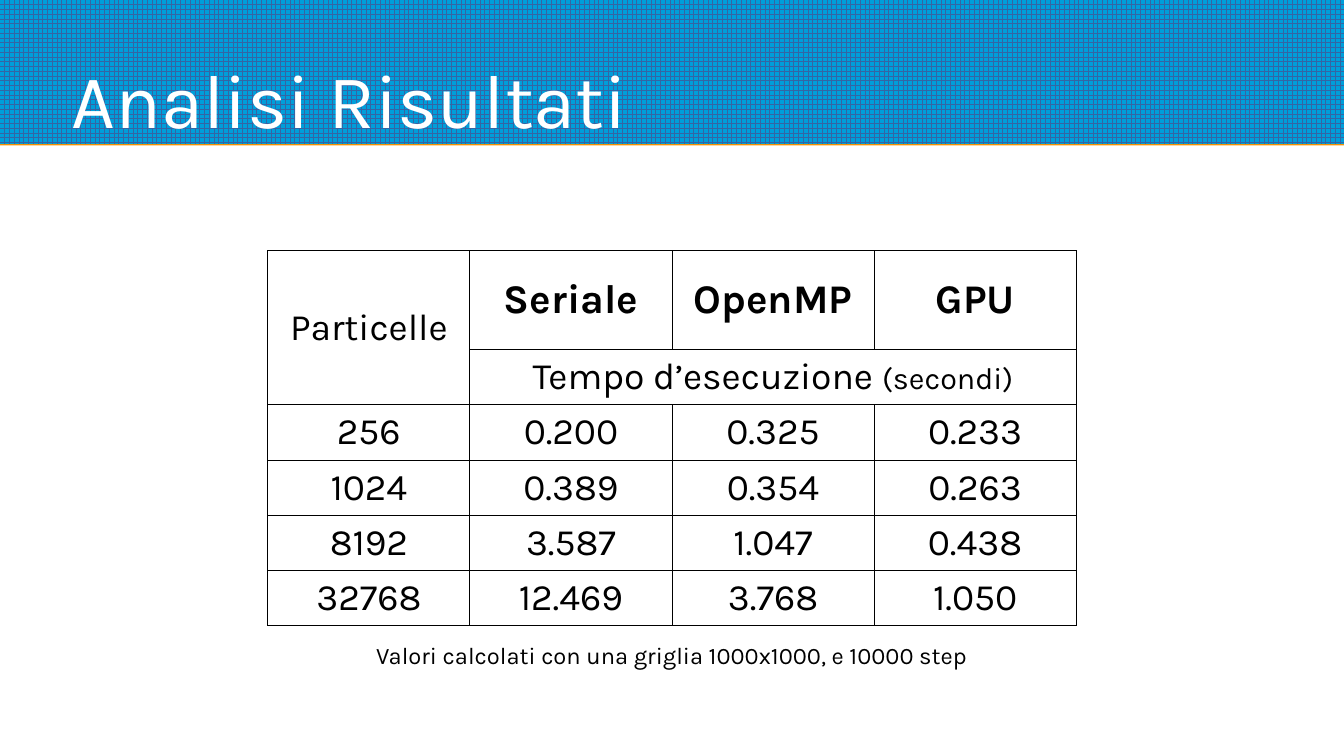
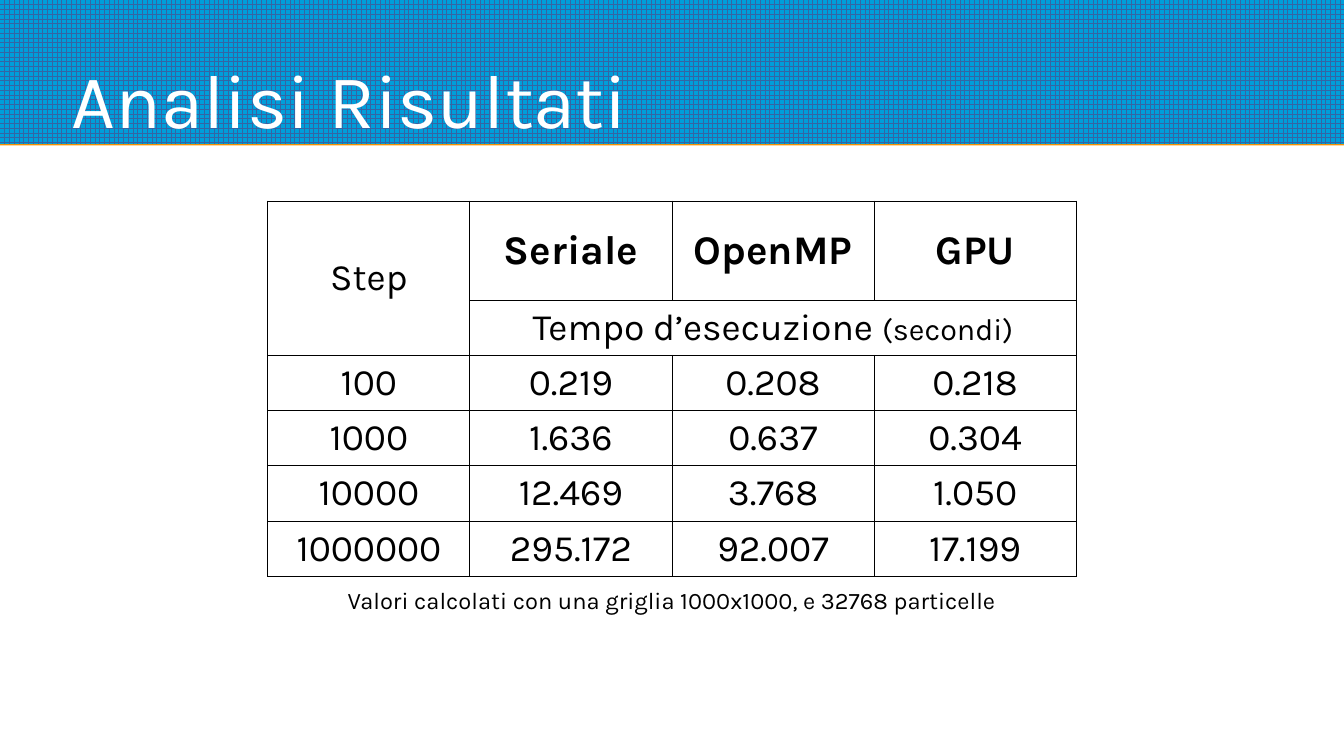
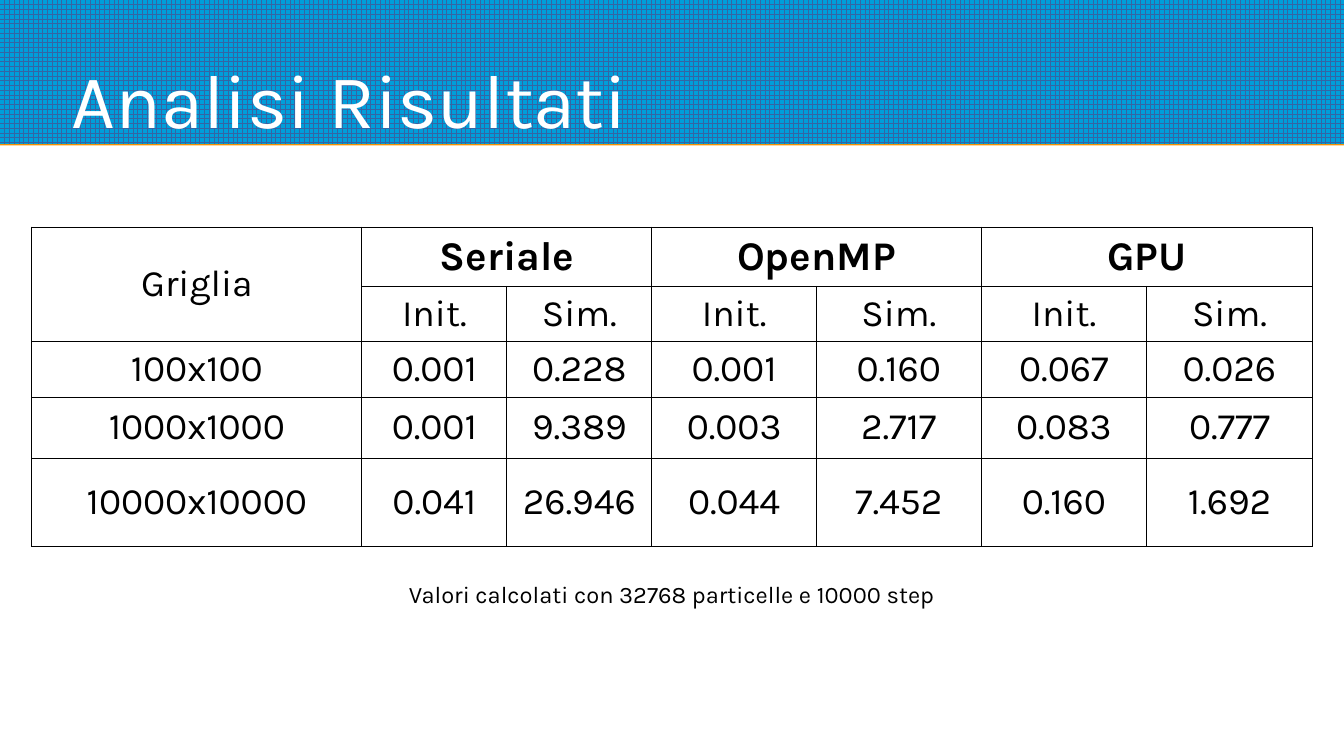
from lxml import etree
from pptx import Presentation
from pptx.dml.color import RGBColor
from pptx.enum.dml import MSO_PATTERN
from pptx.enum.shapes import MSO_SHAPE
from pptx.enum.text import MSO_ANCHOR, PP_ALIGN
from pptx.oxml.ns import qn
from pptx.util import Cm, Pt

BLUE = RGBColor(0x00, 0x9E, 0xDA)
GRID = RGBColor(0x34, 0x65, 0xA4)
ORANGE = RGBColor(0xF4, 0x91, 0x00)
WHITE = RGBColor(0xFF, 0xFF, 0xFF)
BLACK = RGBColor(0x00, 0x00, 0x00)
FONT = "Karla"

RECT = MSO_SHAPE.RECTANGLE
LATTICE = MSO_PATTERN.LARGE_GRID
LEFT, CENTER = PP_ALIGN.LEFT, PP_ALIGN.CENTER
MIDDLE, BOTTOM = MSO_ANCHOR.MIDDLE, MSO_ANCHOR.BOTTOM

WIDTH, HEIGHT, BAND = 28, 15.75, 3

# Spans are (first row, first column, last row, last column)
TIMES = {
    "cols": [4.21] * 4,
    "rows": [2.06] + [1.06] * 5,
    "spans": [(0, 0, 1, 0), (1, 1, 1, 3)],
}
SPLIT = {
    "cols": [6.88, 3.02, 3.02, 3.43, 3.43, 3.45, 3.45],
    "rows": [1.09, 1.04, 1.04, 1.27, 1.85],
    "spans": [(0, 0, 1, 0), (0, 1, 0, 2), (0, 3, 0, 4), (0, 5, 0, 6)],
}
MODES = ["Seriale", "OpenMP", "GPU"]
TIME, UNIT = "Tempo d’esecuzione ", "(secondi)"

PAGES = [
    {
        "form": TIMES, "top": 5.22, "foot": 12.7,
        "note": "Valori calcolati con una griglia 1000x1000, e 10000 step",
        "data": [
            ["Particelle", *MODES],
            ["", TIME, "", ""],
            ["256", "0.200", "0.325", "0.233"],
            ["1024", "0.389", "0.354", "0.263"],
            ["8192", "3.587", "1.047", "0.438"],
            ["32768", "12.469", "3.768", "1.050"],
        ],
    },
    {
        "form": TIMES, "top": 4.19, "foot": 11.56,
        "note": "Valori calcolati con una griglia 1000x1000, e 32768 particelle",
        "data": [
            ["Step", *MODES],
            ["", TIME, "", ""],
            ["100", "0.219", "0.208", "0.218"],
            ["1000", "1.636", "0.637", "0.304"],
            ["10000", "12.469", "3.768", "1.050"],
            ["1000000", "295.172", "92.007", "17.199"],
        ],
    },
    {
        "form": SPLIT, "top": 4.73, "foot": 11.43,
        "note": "Valori calcolati con 32768 particelle e 10000 step",
        "data": [
            ["Griglia", "Seriale", "", "OpenMP", "", "GPU", ""],
            [""] + ["Init.", "Sim."] * 3,
            ["100x100", "0.001", "0.228", "0.001", "0.160", "0.067", "0.026"],
            ["1000x1000", "0.001", "9.389", "0.003", "2.717", "0.083", "0.777"],
            ["10000x10000", "0.041", "26.946", "0.044", "7.452", "0.160", "1.692"],
        ],
    },
]


def write(frame, text, size=22, bold=False, color=BLACK, align=CENTER):
    """Add a run to the first paragraph of a text frame."""
    para = frame.paragraphs[0]
    para.alignment = align
    run = para.add_run()
    run.text = text
    font = run.font
    font.name, font.size, font.bold = FONT, Pt(size), bold
    font.color.rgb = color


def border(cell):
    props = cell._tc.get_or_add_tcPr()
    for side in ("lnL", "lnR", "lnT", "lnB"):
        line = etree.SubElement(props, qn(f"a:{side}"), w=str(Pt(0.57)))
        fill = etree.SubElement(line, qn("a:solidFill"))
        etree.SubElement(fill, qn("a:srgbClr"), val=str(BLACK))


prs = Presentation()
prs.slide_width, prs.slide_height = Cm(WIDTH), Cm(HEIGHT)

for page in PAGES:
    slide = prs.slides.add_slide(prs.slide_layouts[6])
    shapes = slide.shapes

    # Patterned band with an orange edge cast as a hard shadow
    band = shapes.add_shape(RECT, 0, 0, Cm(WIDTH), Cm(BAND))
    band.fill.patterned()
    band.fill.pattern = LATTICE
    band.fill.fore_color.rgb = GRID
    band.fill.back_color.rgb = BLUE
    band.line.fill.background()
    band.shadow.inherit = False
    glow = etree.SubElement(
        band._element.spPr.find(qn("a:effectLst")), qn("a:outerShdw"),
        blurRad="0", dist=str(Pt(0.9)), dir="5400000", rotWithShape="0")
    etree.SubElement(glow, qn("a:srgbClr"), val=str(ORANGE))

    # Title and note
    head = {"size": 45, "color": WHITE, "align": LEFT}
    for text, area, pad, anchor, style in (
        ("Analisi Risultati", (1.5, 0.25, 25, 2.75), 0, BOTTOM, head),
        (page["note"], (5.43, page["foot"], 17.14, 1.9), 0.1, MIDDLE, {"size": 14}),
    ):
        frame = shapes.add_textbox(*map(Cm, area)).text_frame
        frame.word_wrap = True
        frame.vertical_anchor = anchor
        frame.margin_left = frame.margin_right = Cm(pad)
        frame.margin_top = frame.margin_bottom = Cm(pad)
        write(frame, text, **style)

    # Table, centred on the slide
    form, data = page["form"], page["data"]
    cols, rows = form["cols"], form["rows"]
    wide = sum(cols)
    table = shapes.add_table(
        len(rows), len(cols), Cm((WIDTH - wide) / 2), Cm(page["top"]),
        Cm(wide), Cm(sum(rows))).table
    table.first_row = table.horz_banding = False
    for col, size in zip(table.columns, cols):
        col.width = Cm(size)
    for row, size in zip(table.rows, rows):
        row.height = Cm(size)
    for r1, c1, r2, c2 in form["spans"]:
        table.cell(r1, c1).merge(table.cell(r2, c2))

    for r, line in enumerate(data):
        for c, text in enumerate(line):
            cell = table.cell(r, c)
            border(cell)
            cell.fill.background()
            cell.vertical_anchor = MIDDLE
            cell.margin_left = cell.margin_right = Cm(0.1)
            cell.margin_top = cell.margin_bottom = Cm(0.11)
            if text:
                mode = text in MODES
                write(cell.text_frame, text, size=24 if mode else 22, bold=mode)
            if text == TIME:
                write(cell.text_frame, UNIT, size=18)

prs.save("out.pptx")
